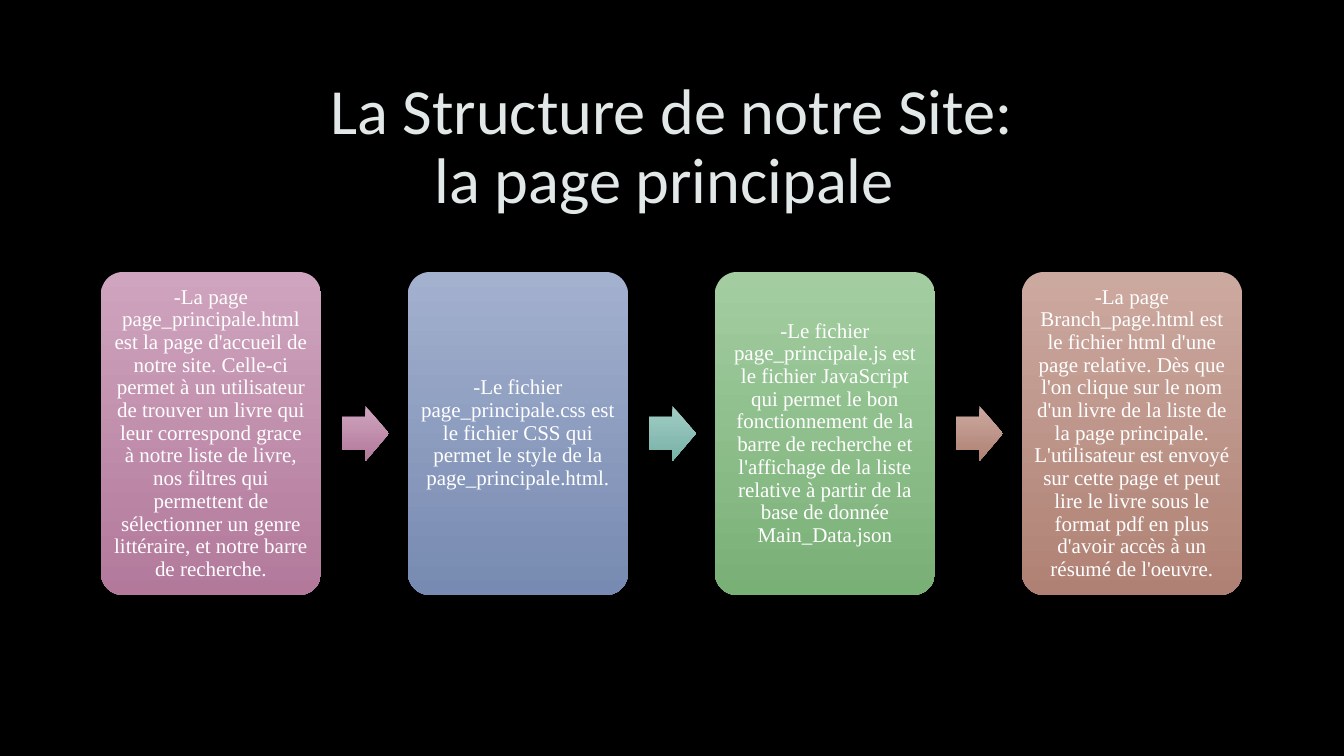
from pptx import Presentation
from pptx.dml.color import RGBColor
from pptx.enum.shapes import MSO_SHAPE
from pptx.enum.text import MSO_ANCHOR, PP_ALIGN
from pptx.util import Pt

EMU_PER_PX = 914400 / 100.8

COLORS = {
    "background": "000000",
    "title": "E2E8E7",
    "card text": "FFFFFF",
}

# Top and bottom colour of each gradient
GRADIENTS = {
    "pink": ("CFA4BE", "B2799B"),
    "blue": ("A3B0CE", "778AB1"),
    "teal": ("A2CDC5", "77B1A6"),
    "green": ("A3CDA1", "79B076"),
    "brown": ("CCA99F", "AF8174"),
}

TITLE_LINES = ["La Structure de notre Site:", "la page principale "]

# Card gradient, gradient of the arrow that follows, text
CARDS = [
    ("pink", "pink",
     "-La page page_principale.html est la page d'accueil de notre site. "
     "Celle-ci permet à un utilisateur de trouver un livre qui leur correspond "
     "grace à notre liste de livre, nos filtres qui permettent de sélectionner "
     "un genre littéraire, et notre barre de recherche."),
    ("blue", "teal",
     "-Le fichier page_principale.css est le fichier CSS qui permet le style "
     "de la page_principale.html."),
    ("green", "brown",
     "-Le fichier page_principale.js est le fichier JavaScript qui permet le "
     "bon fonctionnement de la barre de recherche et l'affichage de la liste "
     "relative à partir de la base de donnée Main_Data.json"),
    ("brown", None,
     "-La page Branch_page.html est le fichier html d'une page relative. Dès "
     "que l'on clique sur le nom d'un livre de la liste de la page principale. "
     "L'utilisateur est envoyé sur cette page et peut lire le livre sous le "
     "format pdf en plus d'avoir accès à un résumé de l'oeuvre."),
]


def px(length):
    return round(length * EMU_PER_PX)


class SlideBuilder:
    def __init__(self, presentation):
        self.slide = presentation.slides.add_slide(presentation.slide_layouts[6])
        background = self.slide.background.fill
        background.solid()
        background.fore_color.rgb = RGBColor.from_string(COLORS["background"])

    def add_text(self, shape, lines, font, size, color, inset):
        frame = shape.text_frame
        frame.word_wrap = True
        frame.vertical_anchor = MSO_ANCHOR.MIDDLE
        frame.margin_left = frame.margin_right = px(inset)
        frame.margin_top = frame.margin_bottom = px(inset)
        paragraph = frame.paragraphs[0]
        paragraph.alignment = PP_ALIGN.CENTER
        paragraph.line_spacing = 0.9
        for index, line in enumerate(lines):
            if index:
                paragraph.add_line_break()
            run = paragraph.add_run()
            run.text = line
            run.font.name = font
            run.font.size = Pt(size)
            run.font.color.rgb = RGBColor.from_string(COLORS[color])

    def title(self, lines, *box):
        shape = self.slide.shapes.add_textbox(*map(px, box))
        self.add_text(shape, lines, "Calibri", 46, "title", 5)

    def gradient_shape(self, kind, adjustments, gradient, *box):
        shape = self.slide.shapes.add_shape(kind, *map(px, box))
        for index, value in enumerate(adjustments):
            shape.adjustments[index] = value
        shape.shadow.inherit = False
        shape.line.fill.background()
        shape.fill.gradient()
        shape.fill.gradient_angle = 270
        for stop, color in zip(shape.fill.gradient_stops, GRADIENTS[gradient]):
            stop.color.rgb = RGBColor.from_string(color)
        return shape

    def card(self, text, gradient, *box):
        shape = self.gradient_shape(
            MSO_SHAPE.ROUNDED_RECTANGLE, [0.1], gradient, *box)
        self.add_text(shape, [text], "Times New Roman", 15, "card text", 6)

    def arrow(self, gradient, *box):
        self.gradient_shape(MSO_SHAPE.RIGHT_ARROW, [0.6, 0.5], gradient, *box)


def main():
    presentation = Presentation()
    presentation.slide_width = px(1344)
    presentation.slide_height = px(756)
    builder = SlideBuilder(presentation)

    builder.title(TITLE_LINES, 101, 32, 1141, 232)

    # Row of cards, with an arrow in each gap
    left, pitch = 101, 307
    for index, (card_gradient, arrow_gradient, text) in enumerate(CARDS):
        x = left + index * pitch
        builder.card(text, card_gradient, x, 272, 220, 323)
        if arrow_gradient:
            builder.arrow(arrow_gradient, x + 241, 406, 47, 55)

    presentation.save("out.pptx")


if __name__ == "__main__":
    main()
